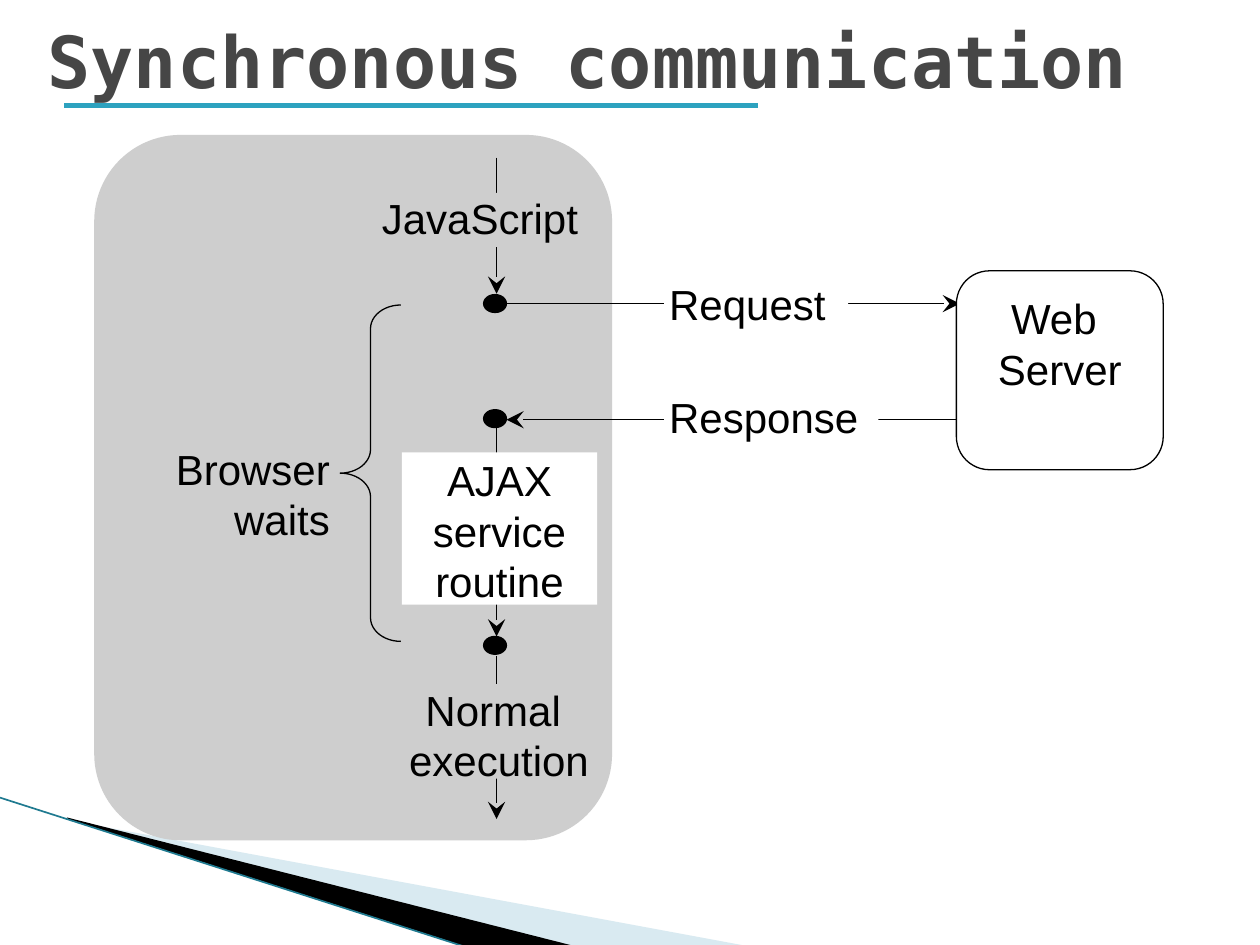
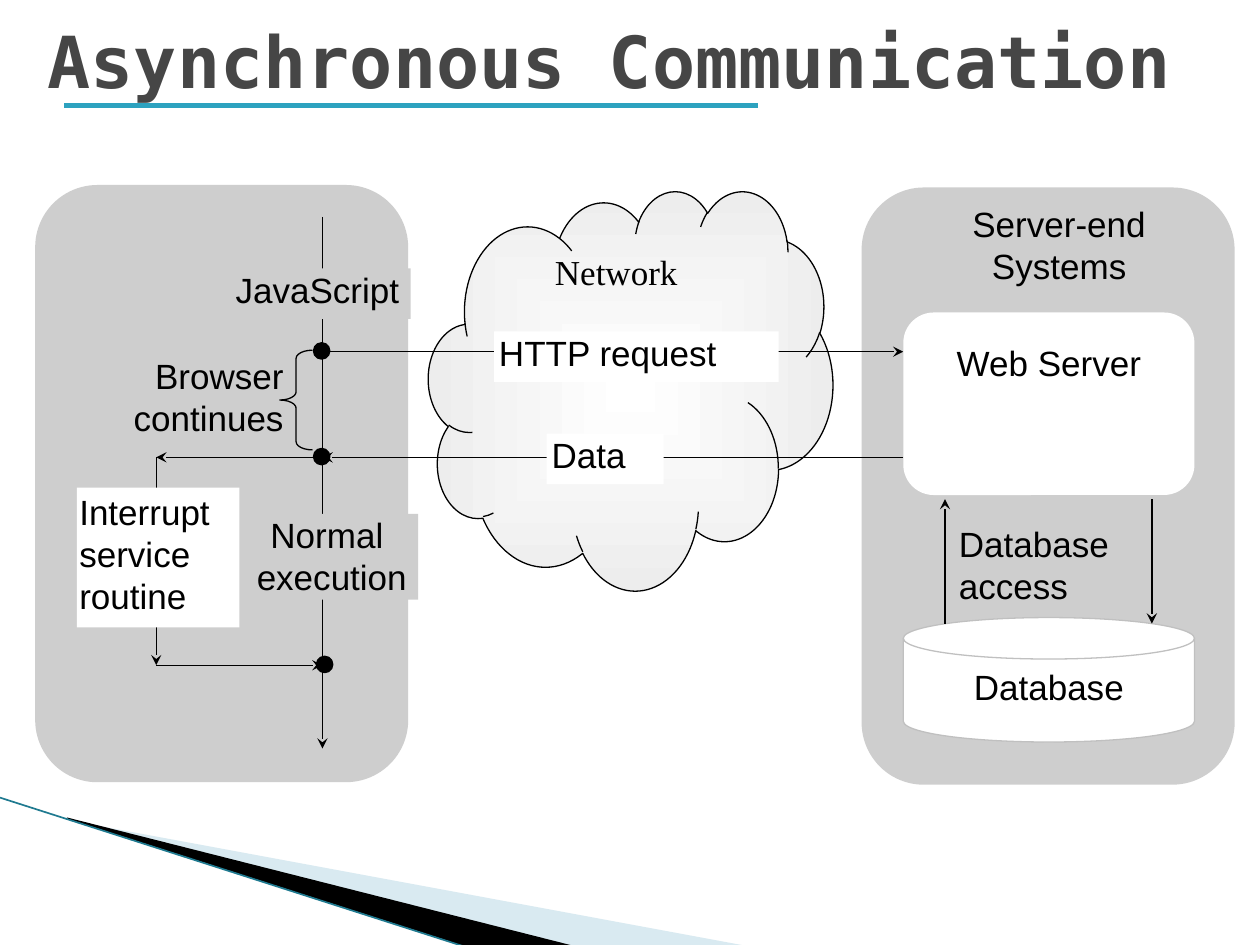
"""Build two slides comparing synchronous and asynchronous browser communication."""
from lxml.etree import SubElement
from pptx import Presentation
from pptx.dml.color import RGBColor
from pptx.enum.shapes import MSO_CONNECTOR, MSO_SHAPE
from pptx.enum.text import MSO_ANCHOR, PP_ALIGN
from pptx.oxml.ns import qn
from pptx.util import Cm, Pt

BLACK = RGBColor(0x00, 0x00, 0x00)
WHITE = RGBColor(0xFF, 0xFF, 0xFF)
PANEL_GREY = RGBColor(0xCE, 0xCE, 0xCE)
CLOUD_GREY = RGBColor(0xED, 0xED, 0xED)
DISK_GREY = RGBColor(0xC0, 0xC0, 0xC0)
TITLE_GREY = RGBColor(0x46, 0x46, 0x46)
TEAL = RGBColor(0x2D, 0xA2, 0xBF)
DARK_TEAL = RGBColor(0x1F, 0x7A, 0x90)
PALE_BLUE = RGBColor(0xA0, 0xCB, 0xDC)

PANEL = MSO_SHAPE.FLOWCHART_ALTERNATE_PROCESS
RECT = MSO_SHAPE.RECTANGLE
DOT = MSO_SHAPE.OVAL
LEFT, CENTER, RIGHT = PP_ALIGN.LEFT, PP_ALIGN.CENTER, PP_ALIGN.RIGHT


def add_box(slide, kind, box, fill=None, line=None, lines=(), size=24,
            align=CENTER, side=0, top=0, font="Arial"):
    """Add a preset shape with optional lines of text, measured in centimetres."""
    shape = slide.shapes.add_shape(kind, *[Cm(v) for v in box])
    shape.shadow.inherit = False
    if fill is None:
        shape.fill.background()
    else:
        shape.fill.solid()
        shape.fill.fore_color.rgb = fill
    if line is None:
        shape.line.fill.background()
    else:
        shape.line.color.rgb = line
        shape.line.width = Pt(0.75)
    frame = shape.text_frame
    frame.word_wrap = True
    frame.vertical_anchor = MSO_ANCHOR.TOP
    frame.margin_left = frame.margin_right = Cm(side)
    frame.margin_top, frame.margin_bottom = Cm(top), 0
    for number, text in enumerate(lines):
        paragraph = frame.add_paragraph() if number else frame.paragraphs[0]
        paragraph.alignment = align
        run = paragraph.add_run()
        run.text = text
        run.font.name = font
        run.font.size = Pt(size)
        run.font.color.rgb = BLACK
    return shape


def add_line(slide, ends, color=BLACK, width=0.75, head=None):
    """Add a straight line, with a stealth head of the given size at its end."""
    connector = slide.shapes.add_connector(MSO_CONNECTOR.STRAIGHT, *[Cm(v) for v in ends])
    connector.line.color.rgb = color
    connector.line.width = Pt(width)
    if head:
        SubElement(connector.line._get_or_add_ln(), qn("a:tailEnd"),
                   type="stealth", w=head, len=head)
    SubElement(connector._element.spPr, qn("a:effectLst"))


prs = Presentation()
prs.slide_width, prs.slide_height = Cm(25.4), Cm(19.05)

wedges = [
    (PALE_BLUE, [(1.4, 16.54), (15.11, 19.08), (11.58, 19.08), (1.4, 16.51)]),
    (BLACK, [(1.35, 16.48), (11.61, 19.08), (9.45, 19.1), (1.37, 16.51)]),
]
slides = []
for heading in ("Synchronous communication", "Asynchronous Communication"):
    slide = prs.slides.add_slide(prs.slide_layouts[6])
    slides.append(slide)
    for color, corners in wedges:
        points = [(Cm(x), Cm(y)) for x, y in corners]
        builder = slide.shapes.build_freeform(*points[0])
        builder.add_line_segments(points[1:], close=True)
        wedge = builder.convert_to_shape()
        wedge.shadow.inherit = False
        wedge.fill.solid()
        wedge.fill.fore_color.rgb = color
        wedge.line.fill.background()
        if color == PALE_BLUE:
            tint = wedge._element.spPr.find(".//" + qn("a:srgbClr"))
            SubElement(tint, qn("a:alpha"), val="40000")
    add_line(slide, (0, 16.08, 9.42, 19.1), DARK_TEAL, 0.95)
    add_line(slide, (1.3, 2.13, 15.29, 2.13), TEAL, 3)
    title = slide.shapes.add_textbox(Cm(0.71), Cm(-0.08), Cm(24), Cm(2.59)).text_frame
    title.word_wrap = True
    title.vertical_anchor = MSO_ANCHOR.MIDDLE
    run = title.paragraphs[0].add_run()
    run.text = heading
    run.font.name = "DejaVu Sans Mono"
    run.font.size = Pt(41)
    run.font.bold = True
    run.font.color.rgb = TITLE_GREY

sync, asynchronous = slides

add_box(sync, PANEL, (1.9, 2.72, 10.44, 14.22), PANEL_GREY)
for start, end in ((3.18, 5.92), (13.23, 16.51), (8.46, 12.83)):
    add_line(sync, (10.01, start, 10.01, end), head="lg")
add_box(sync, RECT, (8.1, 9.12, 3.94, 3.07), WHITE,
        lines=("AJAX", "service", "routine"), side=0.05, top=0.05)
for top in (8.26, 12.83, 5.94):
    add_box(sync, DOT, (9.75, top, 0.46, 0.36), BLACK, BLACK)
for box, lines, align in (
    ((2.59, 8.94, 4.06, 1.09), ("Browser", "waits"), RIGHT),
    ((7.26, 3.89, 4.83, 1.09), ("JavaScript",), CENTER),
    ((7.9, 13.79, 4.32, 1.91), ("Normal ", "execution"), CENTER),
):
    add_box(sync, RECT, box, PANEL_GREY, lines=lines, align=align)
wait_brace = add_box(sync, MSO_SHAPE.LEFT_BRACE, (6.86, 6.15, 1.22, 6.78), line=BLACK)
wait_brace.adjustments[0] = 0.39
for ends, box, label in (
    ((19.3, 8.46, 10.21, 8.46), (13.39, 7.9, 4.32, 1.09), "Response"),
    ((10.08, 6.12, 19.35, 6.12), (13.39, 5.61, 3.71, 1.09), "Request"),
):
    add_line(sync, ends, head="lg")
    add_box(sync, RECT, box, WHITE, lines=(label,), align=LEFT, side=0.1)
add_box(sync, PANEL, (19.28, 5.46, 4.17, 4.01), WHITE, BLACK,
        lines=("Web ", "Server"), top=0.25)

cloud = add_box(asynchronous, MSO_SHAPE.CLOUD, (8.64, 3.84, 8.15, 8.05), WHITE, BLACK,
                lines=("Network",), size=20, font="Times New Roman")
cloud.fill.gradient()
for stop, color in zip(cloud.fill.gradient_stops, (WHITE, CLOUD_GREY)):
    stop.color.rgb = color
for position, stop in enumerate(cloud.fill.gradient_stops):
    stop.position = position
gradient = cloud._element.spPr.find(qn("a:gradFill"))
gradient.remove(gradient.find(qn("a:lin")))
glow = SubElement(gradient, qn("a:path"), path="rect")
SubElement(glow, qn("a:fillToRect"), l="50000", t="50000", r="50000", b="50000")

for left, top in ((0.71, 3.73), (17.37, 3.78)):
    add_box(asynchronous, PANEL, (left, top, 7.52, 12.04), PANEL_GREY)
for ends in (
    (18.21, 9.22, 6.5, 9.22),
    (6.5, 9.22, 3.15, 9.22),
    (3.15, 9.22, 3.15, 13.41),
    (3.15, 13.41, 6.5, 13.41),
    (6.5, 4.37, 6.5, 15.09),
    (6.5, 7.09, 18.21, 7.09),
):
    add_line(asynchronous, ends, head="med")
add_box(asynchronous, RECT, (1.55, 9.83, 3.28, 2.82), WHITE, size=20, align=LEFT,
        lines=("Interrupt", "service", "routine"), side=0.05, top=0.05)
for box, label in (
    ((11.02, 8.74, 2.36, 1.02), "Data"),
    ((9.96, 6.68, 5.74, 1.02), "HTTP request"),
):
    add_box(asynchronous, RECT, box, WHITE, lines=(label,), size=20, align=LEFT, side=0.1)
add_box(asynchronous, MSO_SHAPE.FLOWCHART_MAGNETIC_DISK, (18.21, 12.45, 5.87, 2.51),
        WHITE, DISK_GREY, lines=("Database",), size=20, top=0.13)
add_box(asynchronous, PANEL, (18.21, 6.3, 5.87, 3.68), WHITE,
        lines=("Web Server",), size=20, top=0.41)
for box, lines, align in (
    ((19.23, 10.54, 4.24, 0.84), ("Database", "access"), LEFT),
    ((19.05, 4.09, 4.8, 0.84), ("Server-end ", "Systems "), CENTER),
):
    add_box(asynchronous, RECT, box, lines=lines, size=20, align=align, side=0.1)
for x, start, end in ((19.05, 12.57, 10.06), (23.22, 10.06, 12.57)):
    add_line(asynchronous, (x, start, x, end), head="med")
for left, top in ((6.32, 9.04), (6.38, 13.23), (6.32, 6.91)):
    add_box(asynchronous, DOT, (left, top, 0.33, 0.33), BLACK, BLACK)
for box, lines, align in (
    ((2.16, 7.14, 3.56, 1.68), ("Browser", "continues"), RIGHT),
    ((4.52, 5.41, 3.76, 1.02), ("JavaScript",), CENTER),
    ((4.95, 10.36, 3.48, 1.73), ("Normal ", "execution"), CENTER),
):
    add_box(asynchronous, RECT, box, PANEL_GREY, lines=lines, size=20, align=align)
continue_brace = add_box(asynchronous, MSO_SHAPE.LEFT_BRACE, (5.64, 7.06, 0.66, 2.01), line=BLACK)
continue_brace.adjustments[0] = 0.25

prs.save("out.pptx")
